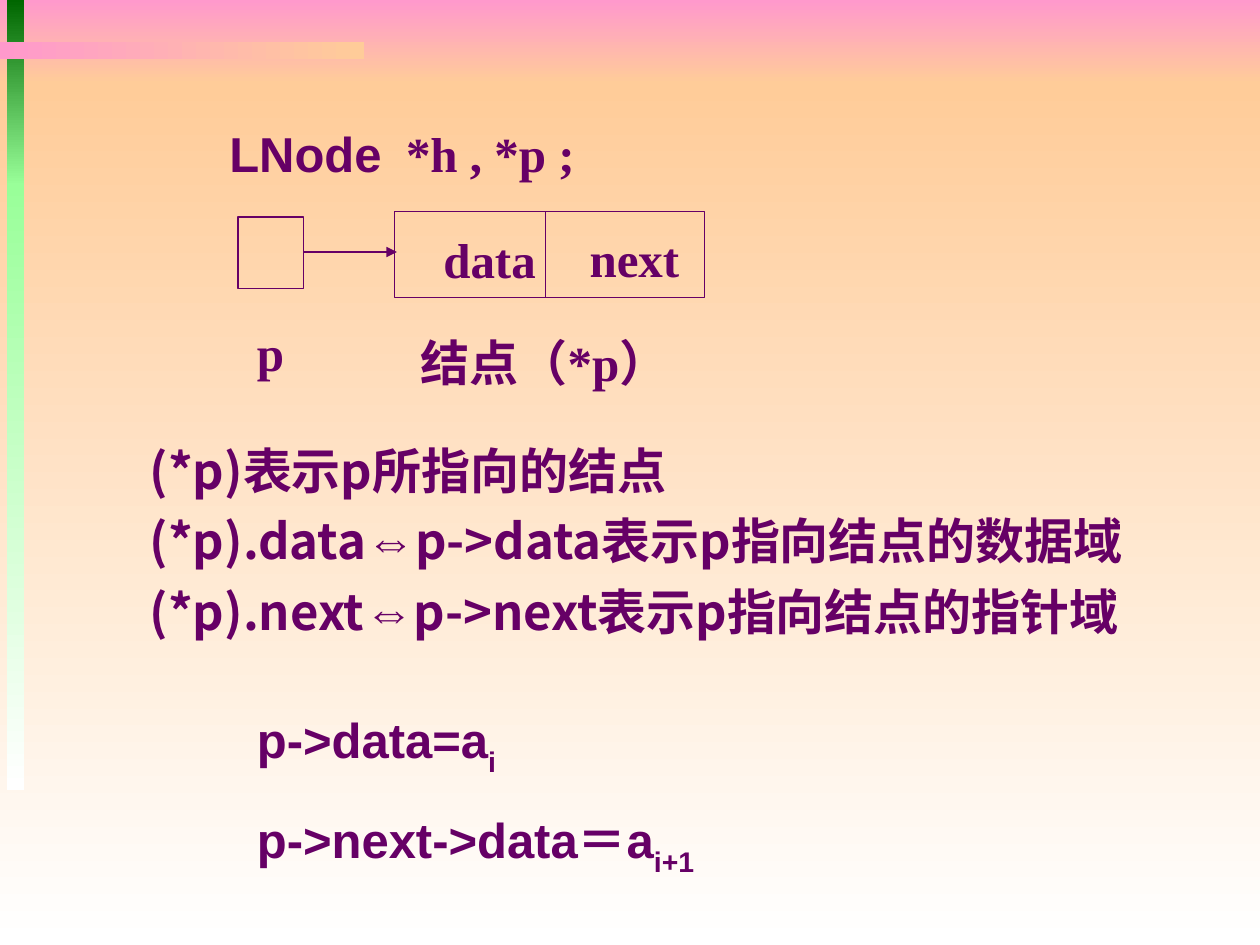
from dataclasses import dataclass
from typing import Any, NamedTuple, Optional

import pptx
import pptx.dml.color
import pptx.enum.shapes
import pptx.enum.text
import pptx.oxml.ns
import pptx.util
from lxml import etree

Pt = pptx.util.Pt
RGB = pptx.dml.color.RGBColor
ALIGN = pptx.enum.text.PP_ALIGN
qn = pptx.oxml.ns.qn


@dataclass(frozen=True)
class Theme:
    ink: str = "660066"
    pink: str = "FF99CC"
    peach: str = "FFCC99"
    white: str = "FFFFFF"
    green: str = "006600"
    mint: str = "99FF99"
    serif: str = "Times New Roman"
    sans: str = "Arial"
    cjk: str = "Noto Sans CJK SC"
    size: float = 28
    line: float = 0.75


THEME = Theme()


class Box(NamedTuple):
    x: float
    y: float
    w: float
    h: float


class Band(NamedTuple):
    box: Box
    start: str
    end: str
    angle: int = 270


class Run(NamedTuple):
    text: str
    font: str = THEME.sans
    east_asian: str = THEME.cjk
    baseline: int = 0


class Label(NamedTuple):
    box: Box
    text: str


BANDS = [
    Band(Box(0, 0, 720, 48), THEME.pink, THEME.peach),
    Band(Box(0, 48, 720, 492), THEME.peach, THEME.white),
    Band(Box(4, 0, 10, 106), THEME.green, THEME.mint),
    Band(Box(4, 105, 10, 346.5), THEME.mint, THEME.white),
    Band(Box(0, 24, 208, 10), THEME.peach, THEME.pink, 180),
]
POINTER = Box(136, 124, 37.5, 41)
NODE = Box(225.5, 121, 177, 49)
LABELS = [
    Label(Box(246.25, 127.5, 67, 41), "data"),
    Label(Box(329.75, 126.75, 65.5, 41), "next"),
    Label(Box(139.75, 180.75, 29.5, 41), "p"),
    Label(Box(226.75, 186.5, 169, 41), "结点（*p）"),
]


def add_rect(s: Any, box: Box) -> Any:
    sp = s.shapes.add_shape(pptx.enum.shapes.MSO_SHAPE.RECTANGLE, *map(Pt, box))
    sp.shadow.inherit = False
    return sp


def add_band(s: Any, band: Band) -> None:
    sp = add_rect(s, band.box)
    sp.line.fill.background()
    sp.fill.gradient()
    sp.fill.gradient_angle = band.angle
    for stop, color in zip(sp.fill.gradient_stops, (band.start, band.end)):
        stop.color.rgb = RGB.from_string(color)


def style_line(sp: Any) -> None:
    sp.line.color.rgb = RGB.from_string(THEME.ink)
    sp.line.width = Pt(THEME.line)


def add_frame(s: Any, box: Box) -> None:
    sp = add_rect(s, box)
    sp.fill.background()
    style_line(sp)


def add_line(s: Any, x1: float, y1: float, x2: float, y2: float, arrow: bool = False) -> None:
    sp = s.shapes.add_connector(
        pptx.enum.shapes.MSO_CONNECTOR.STRAIGHT, Pt(x1), Pt(y1), Pt(x2), Pt(y2))
    style_line(sp)
    if arrow:
        etree.SubElement(sp.line._get_or_add_ln(), qn("a:tailEnd"), type="triangle")
    etree.SubElement(sp._element.spPr, qn("a:effectLst"))


def add_run(p: Any, run: Run) -> None:
    r = p.add_run()
    r.text = run.text
    r.font.size = Pt(THEME.size)
    r.font.bold = True
    r.font.name = run.font
    r.font.color.rgb = RGB.from_string(THEME.ink)
    props = r._r.get_or_add_rPr()
    props.find(qn("a:latin")).addnext(
        etree.Element(qn("a:ea"), typeface=run.east_asian))
    if run.baseline:
        props.set("baseline", str(run.baseline * 1000))


def add_text(s: Any, box: Box, paragraphs: list[list[Run]], *, wrap: bool = True,
             align: Any = ALIGN.LEFT, middle: bool = True,
             spacing: Optional[float] = None, before: float = 0) -> None:
    tf = s.shapes.add_textbox(*map(Pt, box)).text_frame
    tf.word_wrap = wrap
    tf.auto_size = pptx.enum.text.MSO_AUTO_SIZE.SHAPE_TO_FIT_TEXT
    anchor = pptx.enum.text.MSO_ANCHOR
    tf.vertical_anchor = anchor.MIDDLE if middle else anchor.TOP
    for i, runs in enumerate(paragraphs):
        p = tf.paragraphs[0] if i == 0 else tf.add_paragraph()
        p.alignment = align
        p.line_spacing = spacing
        p.space_before = Pt(before)
        for run in runs:
            add_run(p, run)


def equivalence(field: str, meaning: str) -> list[Run]:
    """Both notations for a field of the node, with what they stand for."""
    return [
        Run(f"(*p).{field}", THEME.cjk),
        Run("⇔", THEME.sans, THEME.sans),
        Run(f"p->{field}表示p指向结点的{meaning}", THEME.cjk),
    ]


def assignment(target: str, index: str) -> list[Run]:
    return [Run(f"{target}a"), Run(index, baseline=-30)]


def main() -> None:
    prs = pptx.Presentation()
    prs.slide_width, prs.slide_height = Pt(720), Pt(540)
    s = prs.slides.add_slide(prs.slide_layouts[6])

    for band in BANDS:
        add_band(s, band)

    add_text(s, Box(124, 67, 234.5, 41),
             [[Run("LNode"), Run("  *h , *p ;", THEME.serif)]])

    add_frame(s, POINTER)
    add_frame(s, NODE)
    for label in LABELS:
        add_text(s, label.box, [[Run(label.text, THEME.serif)]],
                 wrap=False, align=ALIGN.CENTER)
    add_line(s, 311.75, NODE.y, 311.75, NODE.y + NODE.h)
    add_line(s, POINTER.x + POINTER.w, 144, 226.75, 144, arrow=True)

    add_text(s, Box(78.5, 241.25, 596, 128), [
        [Run("(*p)表示p所指向的结点", THEME.cjk)],
        equivalence("data", "数据域"),
        equivalence("next", "指针域"),
    ], spacing=1.2)
    add_text(s, Box(139.75, 401.75, 362, 104.5), [
        assignment("p->data=", "i"),
        assignment("p->next->data＝", "i+1"),
    ], middle=False, before=17.5)

    prs.save("out.pptx")


if __name__ == "__main__":
    main()
